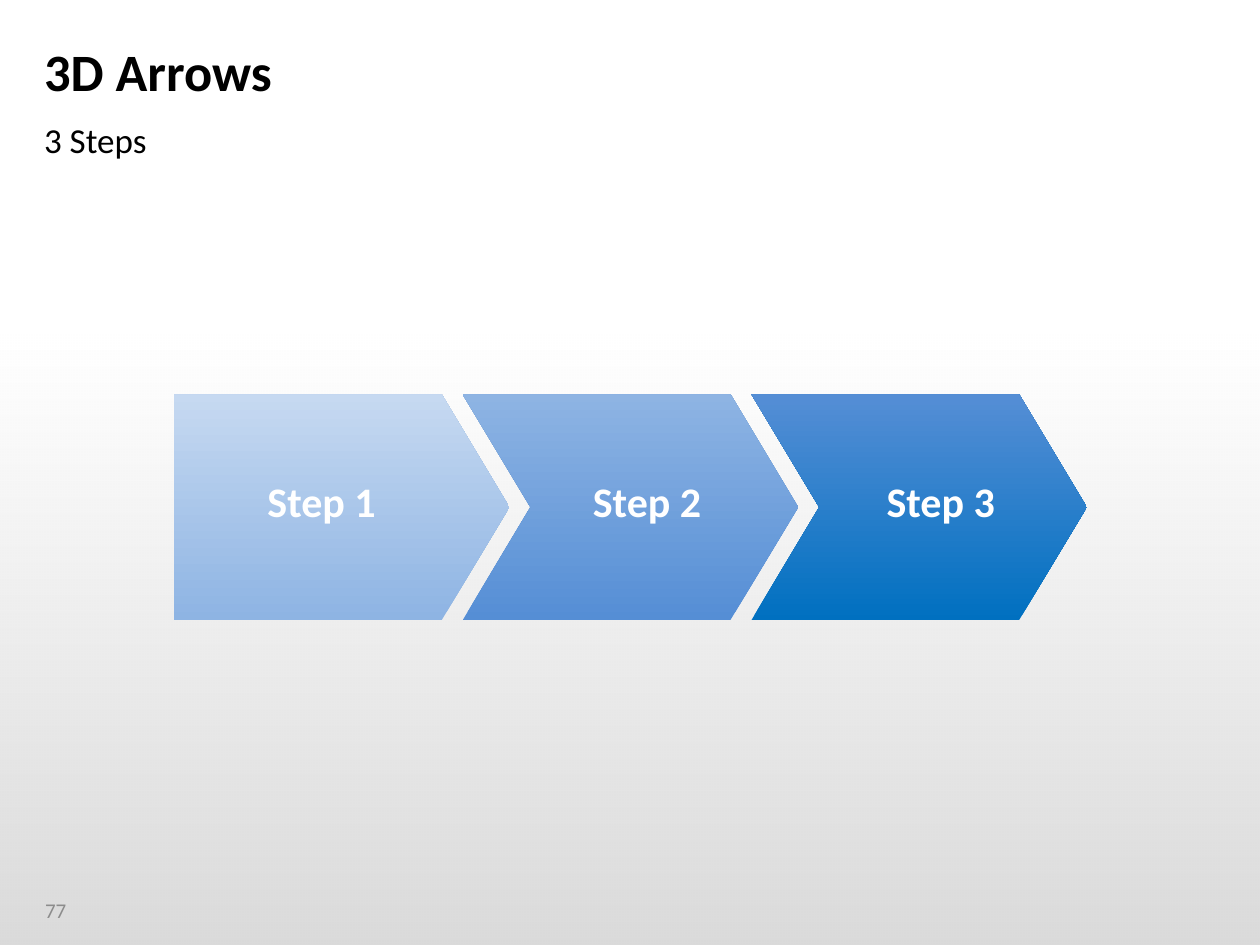
from dataclasses import dataclass

from lxml import etree
from pptx import Presentation
from pptx.dml.color import RGBColor
from pptx.enum.shapes import MSO_SHAPE
from pptx.enum.text import MSO_ANCHOR, PP_ALIGN
from pptx.oxml.ns import qn
from pptx.shapes.autoshape import Shape
from pptx.slide import Slide
from pptx.util import Cm, Pt

RECTANGLE = MSO_SHAPE.RECTANGLE
PENTAGON = MSO_SHAPE.PENTAGON
CHEVRON = MSO_SHAPE.CHEVRON
TOP, MIDDLE = MSO_ANCHOR.TOP, MSO_ANCHOR.MIDDLE
LEFT, CENTER = PP_ALIGN.LEFT, PP_ALIGN.CENTER

FONT = "Calibri"
COLORS = {
    "black": "000000",
    "white": "FFFFFF",
    "gray": "8C8C8C",
    "pale": "C6D9F1",
    "light": "8EB4E3",
    "medium": "558ED5",
    "deep": "0070C0",
}
UPWARD, DOWNWARD = 90, 270

ARROW_LEFT, ARROW_TOP, ARROW_PITCH = 3.51, 7.95, 5.82
ARROW_WIDTH, ARROW_HEIGHT, ARROW_POINT = 6.76, 4.55, 0.3
LABEL_TOP, LABEL_WIDTH, LABEL_HEIGHT = 9.58, 2.92, 1.02


@dataclass
class Box:
    """Position and size in centimetres."""
    left: float
    top: float
    width: float
    height: float

    def lengths(self) -> tuple[Cm, Cm, Cm, Cm]:
        return Cm(self.left), Cm(self.top), Cm(self.width), Cm(self.height)


@dataclass
class TextStyle:
    """Text look; insets are left, top, right and bottom in centimetres."""
    size: int
    color: str
    bold: bool = False
    align: PP_ALIGN = LEFT
    anchor: MSO_ANCHOR = TOP
    insets: tuple[float, float, float, float] = (0, 0, 0, 0)
    wrap: bool = True
    line_spacing: float = 1.0


@dataclass
class Step:
    text: str
    outline: MSO_SHAPE
    bottom_color: str
    top_color: str
    label_left: float


TITLE = TextStyle(30, "black", bold=True, anchor=MIDDLE,
                  insets=(0, 0.13, 0.25, 0.13), line_spacing=0.9)
SUBTITLE = TextStyle(20, "black")
PAGE_NUMBER = TextStyle(12, "gray", anchor=MIDDLE,
                        insets=(0.25, 0.13, 0.25, 0.13))
STEP_LABEL = TextStyle(24, "white", bold=True, align=CENTER,
                       insets=(0.71, 0, 0, 0), wrap=False)

STEPS = [
    Step("Step 1", PENTAGON, "light", "pale", 4.67),
    Step("Step 2", CHEVRON, "medium", "light", 11.23),
    Step("Step 3", CHEVRON, "deep", "medium", 17.15),
]


def add_text(slide: Slide, box: Box, text: str, style: TextStyle) -> None:
    frame = slide.shapes.add_textbox(*box.lengths()).text_frame
    frame.word_wrap = style.wrap
    frame.vertical_anchor = style.anchor
    (frame.margin_left, frame.margin_top,
     frame.margin_right, frame.margin_bottom) = map(Cm, style.insets)
    paragraph = frame.paragraphs[0]
    paragraph.alignment = style.align
    paragraph.line_spacing = style.line_spacing
    run = paragraph.add_run()
    run.text = text
    run.font.name = FONT
    run.font.size = Pt(style.size)
    run.font.bold = style.bold
    run.font.color.rgb = RGBColor.from_string(COLORS[style.color])


def add_gradient_shape(slide: Slide, outline: MSO_SHAPE, box: Box,
                       colors: tuple[str, str], angle: int) -> Shape:
    shape = slide.shapes.add_shape(outline, *box.lengths())
    shape.shadow.inherit = False
    shape.line.fill.background()
    shape.fill.gradient()
    shape.fill.gradient_angle = angle
    for position, (stop, color) in enumerate(zip(shape.fill.gradient_stops, colors)):
        stop.position = position
        stop.color.rgb = RGBColor.from_string(COLORS[color])
    return shape


def set_gradient_opacity(shape: Shape, percents: tuple[int, int]) -> None:
    colors = shape.element.spPr.iter(qn("a:srgbClr"))
    for color, percent in zip(colors, percents):
        etree.SubElement(color, qn("a:alpha"), val=str(percent * 1000))


def add_step(slide: Slide, index: int, step: Step) -> None:
    arrow_box = Box(ARROW_LEFT + index * ARROW_PITCH, ARROW_TOP,
                    ARROW_WIDTH, ARROW_HEIGHT)
    arrow = add_gradient_shape(slide, step.outline, arrow_box,
                               (step.bottom_color, step.top_color), UPWARD)
    arrow.adjustments[0] = ARROW_POINT
    label_box = Box(step.label_left, LABEL_TOP, LABEL_WIDTH, LABEL_HEIGHT)
    add_text(slide, label_box, step.text, STEP_LABEL)


def main() -> None:
    presentation = Presentation()
    presentation.slide_width, presentation.slide_height = Cm(25.4), Cm(19.05)
    slide = presentation.slides.add_slide(presentation.slide_layouts[6])
    slide.background.fill.solid()
    slide.background.fill.fore_color.rgb = RGBColor.from_string(COLORS["white"])

    shade = add_gradient_shape(slide, RECTANGLE, Box(0, 6.58, 25.4, 12.47),
                               ("black", "black"), DOWNWARD)
    set_gradient_opacity(shade, (0, 15))
    add_text(slide, Box(0.66, 17.83, 1.63, 1.02), "77", PAGE_NUMBER)
    add_text(slide, Box(0.89, 0.66, 23.6, 1.7), "3D Arrows", TITLE)
    add_text(slide, Box(0.89, 2.39, 23.6, 0.94), "3 Steps", SUBTITLE)
    for index, step in enumerate(STEPS):
        add_step(slide, index, step)

    presentation.save("out.pptx")


if __name__ == "__main__":
    main()
